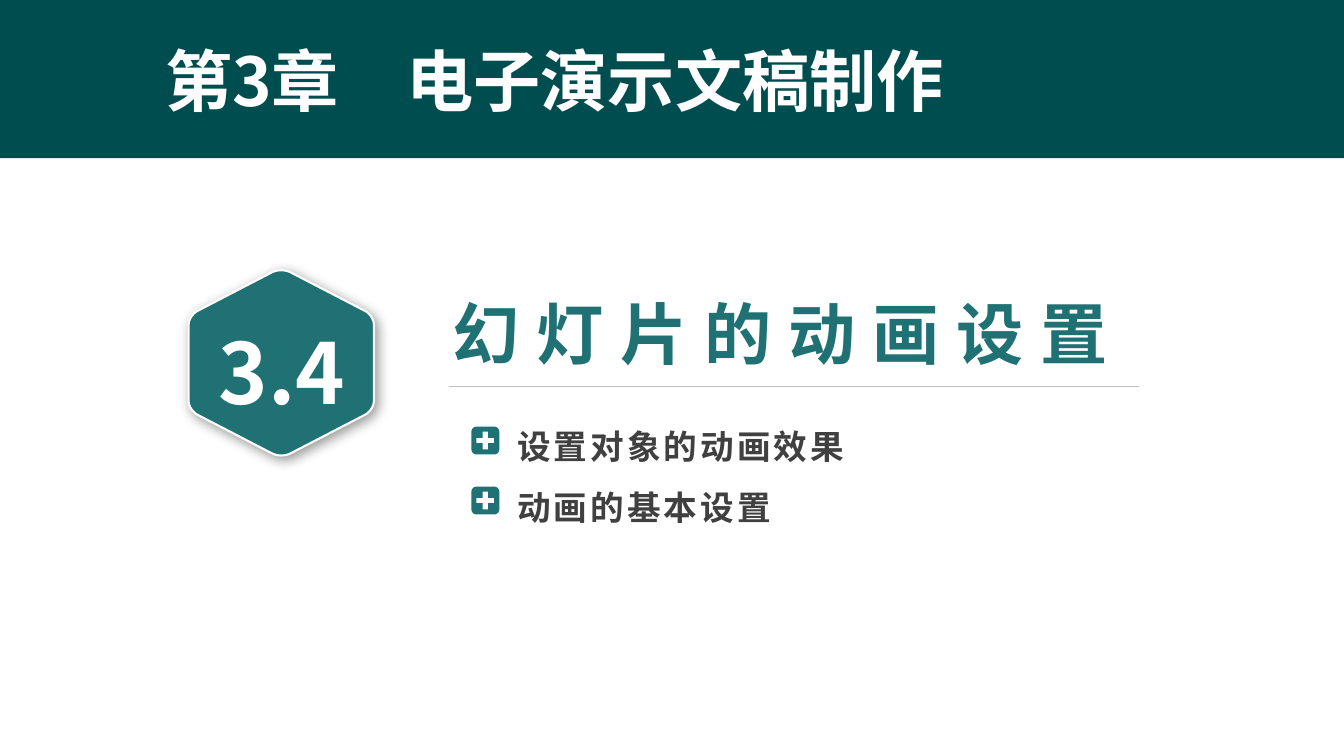
import math
from lxml import etree
from pptx import Presentation
from pptx.dml.color import RGBColor
from pptx.enum.shapes import MSO_CONNECTOR, MSO_SHAPE
from pptx.enum.text import MSO_AUTO_SIZE, PP_ALIGN
from pptx.oxml.ns import qn
from pptx.util import Pt

LEFT, CENTER, JUSTIFY = PP_ALIGN.LEFT, PP_ALIGN.CENTER, PP_ALIGN.JUSTIFY
RECT, STRAIGHT = MSO_SHAPE.RECTANGLE, MSO_CONNECTOR.STRAIGHT
GROW = MSO_AUTO_SIZE.SHAPE_TO_FIT_TEXT
FONT = "Noto Sans CJK SC"
DARK, TEAL, WHITE, GRAY, RULE = "004D4F", "1F7173", "FFFFFF", "404040", "BFBFBF"

CHAPTER = "第3章　电子演示文稿制作"
NUMBER = "3.4"
SECTION = "幻灯片的动画设置"
TOPICS = ["设置对象的动画效果", "动画的基本设置"]

HEX_CENTER = (200.9, 259.2)
HEX_SIDE = [(66.2, -27), (66.2, -31), (63.5, -35), (60, -37)]
HEX_TOP = [(7, -64.5), (3, -66.7), (-3, -66.7), (-7, -64.5)]
HEX_CORNERS = [(HEX_SIDE, 1, 1), (HEX_TOP, 1, 1), (HEX_SIDE[::-1], -1, 1),
               (HEX_SIDE, -1, -1), (HEX_TOP, -1, -1), (HEX_SIDE[::-1], 1, -1)]

ICON_X, ICON_Y, ICON_STEP = 346.7, 314.7, 42.85
ICON_HALF, ICON_RADIUS = 9.95, 3.6
PLUS_ARM, PLUS_HALF = 6.3, 1.9


def rgb(value):
    return RGBColor.from_string(value)


def add_text(s, box, lines, size, color, align=LEFT, insets=(7.2, 3.6),
             spacing=0, line_spacing=None):
    tf = s.shapes.add_textbox(*map(Pt, box)).text_frame
    tf.word_wrap = True
    tf.auto_size = GROW
    tf.margin_left = tf.margin_right = Pt(insets[0])
    tf.margin_top = tf.margin_bottom = Pt(insets[1])
    for i, line in enumerate(lines):
        p = tf.paragraphs[0] if i == 0 else tf.add_paragraph()
        p.alignment = align
        if line_spacing:
            p.line_spacing = line_spacing
        r = p.add_run()
        r.text = line
        r.font.name, r.font.size, r.font.bold = FONT, Pt(size), True
        r.font.color.rgb = rgb(color)
        rpr = r._r.get_or_add_rPr()
        etree.SubElement(rpr, qn("a:ea")).set("typeface", FONT)
        if spacing:
            rpr.set("spc", str(round(spacing * 100)))


def paint(sp, fill):
    sp.shadow.inherit = False
    sp.fill.solid()
    sp.fill.fore_color.rgb = rgb(fill)
    sp.line.fill.background()


def add_outline(s, center, contours, fill):
    cx, cy = center
    placed = [[(Pt(cx + x), Pt(cy + y)) for x, y in c] for c in contours]
    fb = s.shapes.build_freeform(*placed[0][0])
    fb.add_line_segments(placed[0][1:], close=True)
    for contour in placed[1:]:
        fb.move_to(*contour[0])
        fb.add_line_segments(contour[1:], close=True)
    sp = fb.convert_to_shape()
    paint(sp, fill)
    return sp


def bezier(points, steps=8):
    curve = []
    for i in range(steps + 1):
        t = i / steps
        weights = [math.comb(3, k) * t ** k * (1 - t) ** (3 - k) for k in range(4)]
        curve.append(tuple(sum(w * pt[axis] for w, pt in zip(weights, points))
                           for axis in (0, 1)))
    return curve


def rounded_square(half, radius, steps=6):
    points = []
    for quarter, (sx, sy) in enumerate([(1, 1), (-1, 1), (-1, -1), (1, -1)]):
        for i in range(steps + 1):
            a = (quarter + i / steps) * math.pi / 2
            points.append((sx * (half - radius) + radius * math.cos(a),
                           sy * (half - radius) + radius * math.sin(a)))
    return points


def plus(a, h):
    return [(a, -h), (h, -h), (h, -a), (-h, -a), (-h, -h), (-a, -h),
            (-a, h), (-h, h), (-h, a), (h, a), (h, h), (a, h)]


def add_hexagon(s):
    points = [(sx * x, sy * y) for corner, sx, sy in HEX_CORNERS
              for x, y in bezier(corner)]
    sp = add_outline(s, HEX_CENTER, [points], TEAL)
    sp.line.color.rgb = rgb(WHITE)
    sp.line.width = Pt(1.5)
    effects = sp._element.spPr.find(qn("a:effectLst"))
    shadow = etree.SubElement(effects, qn("a:outerShdw"), blurRad=str(Pt(9)),
                              dist=str(Pt(3)), dir="2700000", algn="tl",
                              rotWithShape="0")
    color = etree.SubElement(shadow, qn("a:srgbClr"), val="000000")
    etree.SubElement(color, qn("a:alpha"), val="40000")


def main():
    prs = Presentation()
    prs.slide_width, prs.slide_height = Pt(960), Pt(540)
    s = prs.slides.add_slide(prs.slide_layouts[6])

    add_text(s, (366.5, 288.7, 436.3, 83.5), TOPICS, 24, GRAY,
             insets=(2.9, 1.4), spacing=2.2, line_spacing=1.5)
    banner = s.shapes.add_shape(RECT, 0, 0, Pt(960), Pt(113))
    paint(banner, DARK)
    add_hexagon(s)
    add_text(s, (146.2, 225.4, 110.2, 79.9), [NUMBER], 60, WHITE, CENTER)
    add_text(s, (320.4, 207.4, 634.3, 61.2), [SECTION], 48, TEAL,
             insets=(2.9, 1.4), spacing=12)

    rule = s.shapes.add_connector(STRAIGHT, Pt(320.4), Pt(275.8), Pt(813.6), Pt(275.8))
    rule.line.color.rgb = rgb(RULE)
    rule.line.width = Pt(0.5)
    etree.SubElement(rule._element.spPr, qn("a:effectLst"))

    add_text(s, (110.9, 24.5, 755.3, 65.5), [CHAPTER], 48, WHITE, JUSTIFY)
    icon = [rounded_square(ICON_HALF, ICON_RADIUS), plus(PLUS_ARM, PLUS_HALF)]
    for i in range(len(TOPICS)):
        add_outline(s, (ICON_X, ICON_Y + i * ICON_STEP), icon, TEAL)

    prs.save("out.pptx")


if __name__ == "__main__":
    main()
